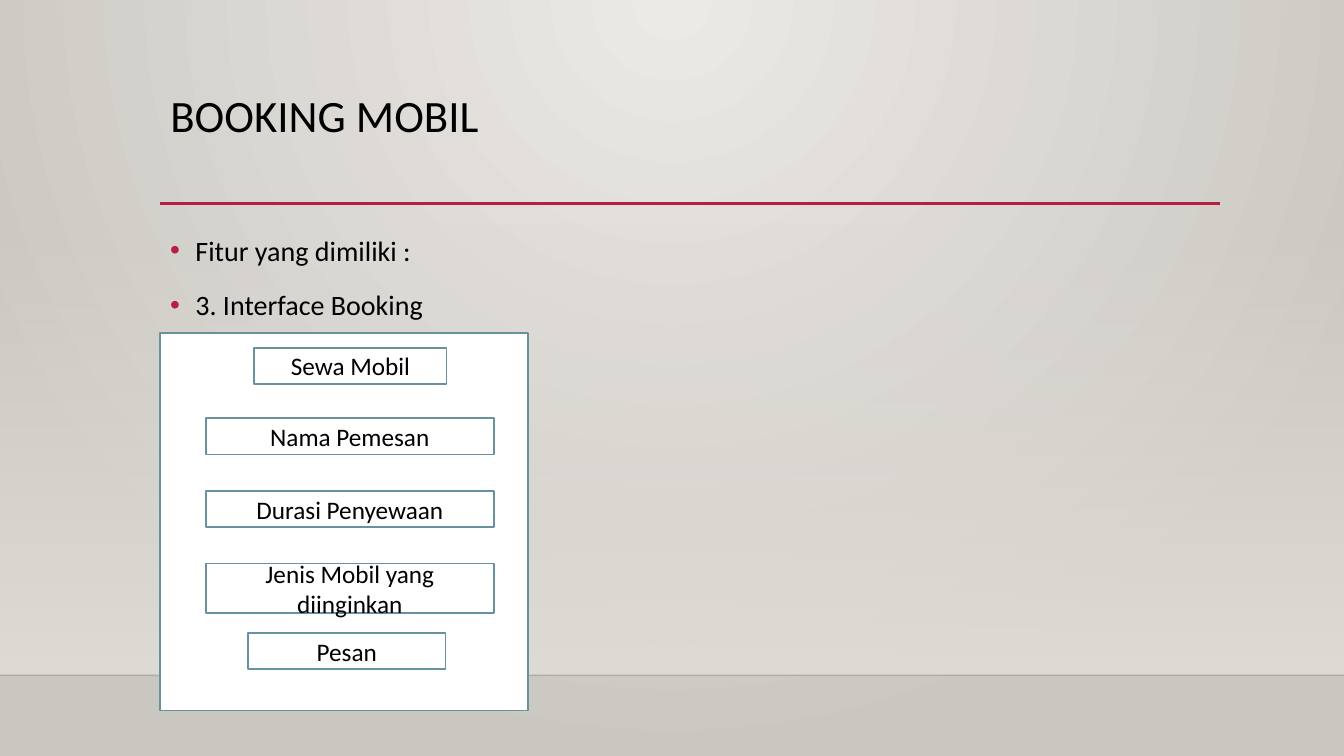
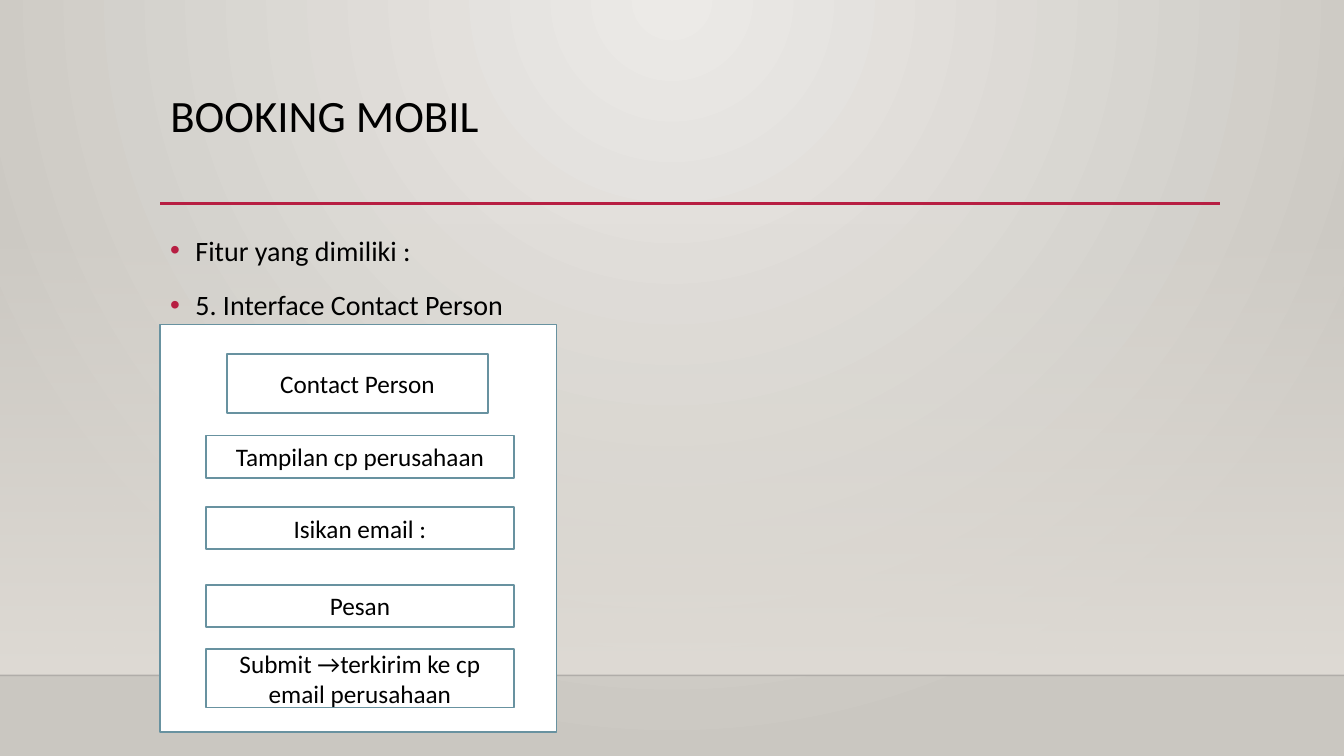
from lxml import etree
from pptx import Presentation
from pptx.dml.color import RGBColor
from pptx.enum.shapes import MSO_CONNECTOR, MSO_SHAPE
from pptx.enum.text import MSO_ANCHOR, MSO_AUTO_SIZE, PP_ALIGN
from pptx.oxml import parse_xml
from pptx.oxml.ns import nsdecls, qn
from pptx.util import Inches, Pt

RECT = MSO_SHAPE.RECTANGLE
STRAIGHT = MSO_CONNECTOR.STRAIGHT
TOP, MIDDLE = MSO_ANCHOR.TOP, MSO_ANCHOR.MIDDLE
LEFT, CENTER = PP_ALIGN.LEFT, PP_ALIGN.CENTER

TITLE = "BOOKING MOBIL"
INTRO = "Fitur yang dimiliki :"
FORMS = [
    {
        "feature": "3. Interface Booking",
        "panel": (3.3, 3.65, 3.75),
        "columns": {"heading": (2.52, 1.91), "field": (2.04, 2.86), "button": (2.46, 1.96)},
        "rows": [
            ("Sewa Mobil", "heading", 3.45, 0.36),
            ("Nama Pemesan", "field", 4.15, 0.36),
            ("Durasi Penyewaan", "field", 4.87, 0.36),
            ("Jenis Mobil yang diinginkan", "field", 5.59, 0.49),
            ("Pesan", "button", 6.28, 0.36),
        ],
    },
    {
        "feature": "5. Interface Contact Person",
        "panel": (3.22, 3.93, 4.04),
        "columns": {"heading": (2.25, 2.59), "field": (2.04, 3.06)},
        "rows": [
            ("Contact Person", "heading", 3.51, 0.59),
            ("Tampilan cp perusahaan", "field", 4.32, 0.42),
            ("Isikan email :", "field", 5.03, 0.42),
            ("Pesan", "field", 5.8, 0.42),
            ("Submit →terkirim ke cp email perusahaan", "field", 6.44, 0.58),
        ],
    },
]

FONT = "Calibri"
BLACK, WHITE, ACCENT, OUTLINE = "000000", "FFFFFF", "B71E42", "6892A0"
GLOW, EDGE, WALL, FLOOR_LINE = "ECEAE7", "CAC7C1", "DFDBD5", "000001"
WIDTH, HEIGHT = 13.33, 7.5
MARGIN, CONTENT_WIDTH = 1.59, 10.5
RULE_Y, RULE_END = 2.02, 12.1
WALL_TOP, FLOOR_Y = 2.21, 6.7


def rgb(hex_color):
    return RGBColor.from_string(hex_color)


def box(*lengths):
    return [Inches(length) for length in lengths]


def gradient(start, end, direction, start_alpha=100):
    return parse_xml(
        f'<a:gradFill {nsdecls("a")} rotWithShape="1"><a:gsLst>'
        f'<a:gs pos="0"><a:srgbClr val="{start}"><a:alpha val="{start_alpha * 1000}"/></a:srgbClr></a:gs>'
        f'<a:gs pos="100000"><a:srgbClr val="{end}"/></a:gs>'
        f'</a:gsLst>{direction}</a:gradFill>')


def set_gradient(owner, fill, **stops):
    fill.gradient()
    old = owner.find(".//" + qn("a:gradFill"))
    old.getparent().replace(old, gradient(**stops))


def write(frame, *lines, size, align=LEFT, anchor=TOP, spacing=None, before=None, bullet=None):
    frame.word_wrap = True
    frame.auto_size = MSO_AUTO_SIZE.NONE
    frame.vertical_anchor = anchor
    for index, line in enumerate(lines):
        paragraph = frame.add_paragraph() if index else frame.paragraphs[0]
        paragraph.alignment = align
        if spacing:
            paragraph.line_spacing = spacing
        if before:
            paragraph.space_before = Pt(before)
        run = paragraph.add_run()
        run.text = line
        run.font.name, run.font.size = FONT, Pt(size)
        run.font.color.rgb = rgb(BLACK)
        if bullet:
            add_bullet(paragraph, bullet)


def add_bullet(paragraph, color):
    properties = paragraph._p.get_or_add_pPr()
    properties.set("marL", str(Inches(0.25)))
    properties.set("indent", str(-Inches(0.25)))
    bullet_color = etree.SubElement(properties, qn("a:buClr"))
    etree.SubElement(bullet_color, qn("a:srgbClr")).set("val", color)
    etree.SubElement(properties, qn("a:buFont")).set("typeface", "Arial")
    etree.SubElement(properties, qn("a:buChar")).set("char", "•")


def add_rule(shapes, start, end, y, color, weight, alpha=100):
    rule = shapes.add_connector(STRAIGHT, *box(start, y, end, y))
    rule.line.color.rgb, rule.line.width = rgb(color), Pt(weight)
    tint = rule.element.spPr.find(".//" + qn("a:srgbClr"))
    etree.SubElement(tint, qn("a:alpha")).set("val", str(alpha * 1000))
    etree.SubElement(rule.element.spPr, qn("a:effectLst"))
    return rule


def add_rect(shapes, left, top, width, height):
    rect = shapes.add_shape(RECT, *box(left, top, width, height))
    rect.shadow.inherit = False
    rect.fill.solid()
    rect.fill.fore_color.rgb = rgb(WHITE)
    rect.line.color.rgb, rect.line.width = rgb(OUTLINE), Pt(1.25)
    return rect


def decorate(layout, shapes):
    wall = add_rect(shapes, 0, WALL_TOP, WIDTH, FLOOR_Y - WALL_TOP)
    wall.line.fill.background()
    set_gradient(wall.element, wall.fill, start=WALL, end=WALL, start_alpha=0,
                 direction='<a:lin ang="5400000" scaled="0"/>')
    floor = add_rule(shapes, 0, WIDTH, FLOOR_Y, FLOOR_LINE, 1, alpha=20)
    title_rule = add_rule(shapes, MARGIN, RULE_END, RULE_Y, ACCENT, 2.5)
    for part in (wall, floor, title_rule):
        layout.shapes._spTree.append(part.element)


def add_form(slide, feature, panel, columns, rows):
    title = slide.shapes.title
    title.left, title.top, title.width, title.height = box(MARGIN, 0.88, CONTENT_WIDTH, 1.15)
    write(title.text_frame, TITLE, size=32, spacing=0.9)
    features = slide.shapes.add_textbox(*box(MARGIN, 2.2, CONTENT_WIDTH, 3.77))
    write(features.text_frame, INTRO, feature, size=20, spacing=1.2, before=10, bullet=ACCENT)
    mockup = slide.shapes.add_group_shape().shapes
    panel_top, panel_width, panel_height = panel
    add_rect(mockup, MARGIN, panel_top, panel_width, panel_height)
    for label, column, top, height in rows:
        left, width = columns[column]
        field = add_rect(mockup, left, top, width, height)
        write(field.text_frame, label, size=18, align=CENTER, anchor=MIDDLE)


deck = Presentation()
deck.slide_width, deck.slide_height = box(WIDTH, HEIGHT)
master = deck.slide_master
set_gradient(master.element, master.background.fill, start=GLOW, end=EDGE,
             direction='<a:path path="circle"><a:fillToRect l="43000" t="0" r="43000" b="100000"/></a:path>')
title_only = deck.slide_layouts[5]
for number, form in enumerate(FORMS):
    slide = deck.slides.add_slide(title_only)
    if number == 0:
        decorate(title_only, slide.shapes)
    add_form(slide, **form)
deck.save("out.pptx")
